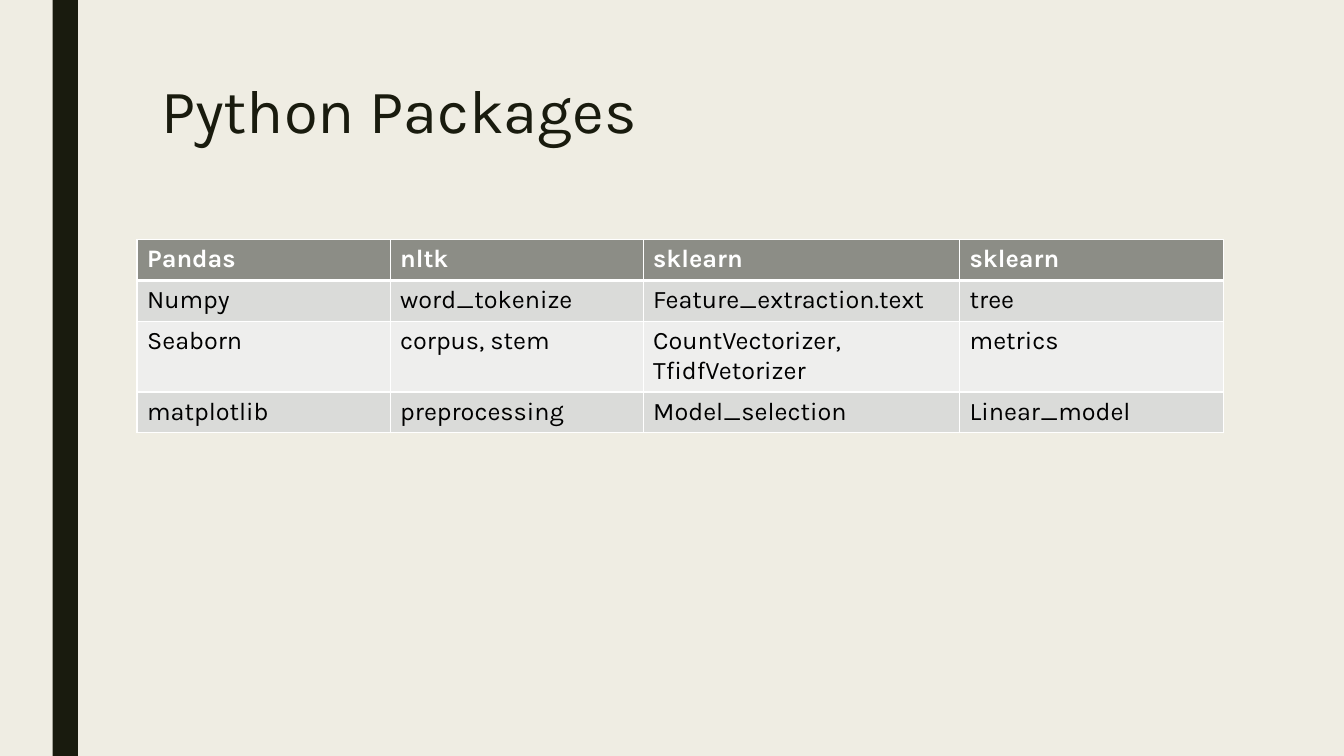
import pptx
import pptx.util
import pptx.dml.color
import pptx.enum.shapes
import pptx.enum.text
import pptx.oxml.ns
import lxml.etree

WIDE, HIGH = pptx.util.Inches(13.333), pptx.util.Inches(7.5)
FONT = "Karla"
DARK, WHITE, BLACK = "191B0E", "FFFFFF", "000000"
HEAD, ODD, EVEN = "8C8D86", "DADBD9", "EEEEED"
COLS = [18.83, 18.83, 23.55, 19.65]
ROWS = [5.41, 5.41, 9.13, 5.41]
CELLS = [
    ["Pandas", "nltk", "sklearn", "sklearn"],
    ["Numpy", "word_tokenize", "Feature_extraction.text", "tree"],
    ["Seaborn", "corpus, stem", "CountVectorizer, TfidfVetorizer", "metrics"],
    ["matplotlib", "preprocessing", "Model_selection", "Linear_model"],
]


def across(share):
    return round(WIDE * share / 100)


def down(share):
    return round(HIGH * share / 100)


def place(left, top, width, height):
    return across(left), down(top), across(width), down(height)


def paint(fill, color):
    fill.solid()
    fill.fore_color.rgb = pptx.dml.color.RGBColor.from_string(color)


def write(frame, text, size=18, color=BLACK, bold=False, space=None):
    frame.word_wrap = True
    para = frame.paragraphs[0]
    para.line_spacing = space
    run = para.add_run()
    run.text = text
    run.font.name = FONT
    run.font.size = pptx.util.Pt(size)
    run.font.bold = bold
    paint(run.font.fill, color)


def add_bar(slide, box, color):
    bar = slide.shapes.add_shape(
        pptx.enum.shapes.MSO_SHAPE.RECTANGLE, *place(*box))
    bar.shadow.inherit = False
    paint(bar.fill, color)
    bar.line.fill.background()


def add_title(slide, box, text):
    frame = slide.shapes.add_textbox(*place(*box)).text_frame
    frame.vertical_anchor = pptx.enum.text.MSO_ANCHOR.TOP
    write(frame, text, size=44, color=DARK, space=0.89)


def edge(cell, side, width):
    name = pptx.oxml.ns.qn
    props = cell._tc.get_or_add_tcPr()
    line = lxml.etree.SubElement(
        props, name("a:ln" + side), w=str(pptx.util.Pt(width)))
    fill = lxml.etree.SubElement(line, name("a:solidFill"))
    lxml.etree.SubElement(fill, name("a:srgbClr"), val=WHITE)


def add_grid(slide, left, top):
    box = place(left, top, sum(COLS), sum(ROWS))
    table = slide.shapes.add_table(len(ROWS), len(COLS), *box).table
    for col, width in zip(table.columns, COLS):
        col.width = across(width)
    for row, height in zip(table.rows, ROWS):
        row.height = down(height)
    for r, texts in enumerate(CELLS):
        first = r == 0
        shade = HEAD if first else ODD if r % 2 else EVEN
        for c, text in enumerate(texts):
            cell = table.cell(r, c)
            write(cell.text_frame, text, bold=first,
                  color=WHITE if first else BLACK)
            edge(cell, "L", 1)
            edge(cell, "R", 1)
            edge(cell, "T", 3 if r == 1 else 1)
            edge(cell, "B", 3 if first else 1)
            paint(cell.fill, shade)


def main():
    deck = pptx.Presentation()
    deck.slide_width, deck.slide_height = WIDE, HIGH
    slide = deck.slides.add_slide(deck.slide_layouts[6])
    paint(slide.background.fill, "EFEDE3")
    add_bar(slide, (3.92, 0, 1.88, 100), DARK)
    add_title(slide, (11.25, 10, 78.75, 21.6), "Python Packages")
    add_grid(slide, 10.2, 31.7)
    deck.save("out.pptx")


if __name__ == "__main__":
    main()
